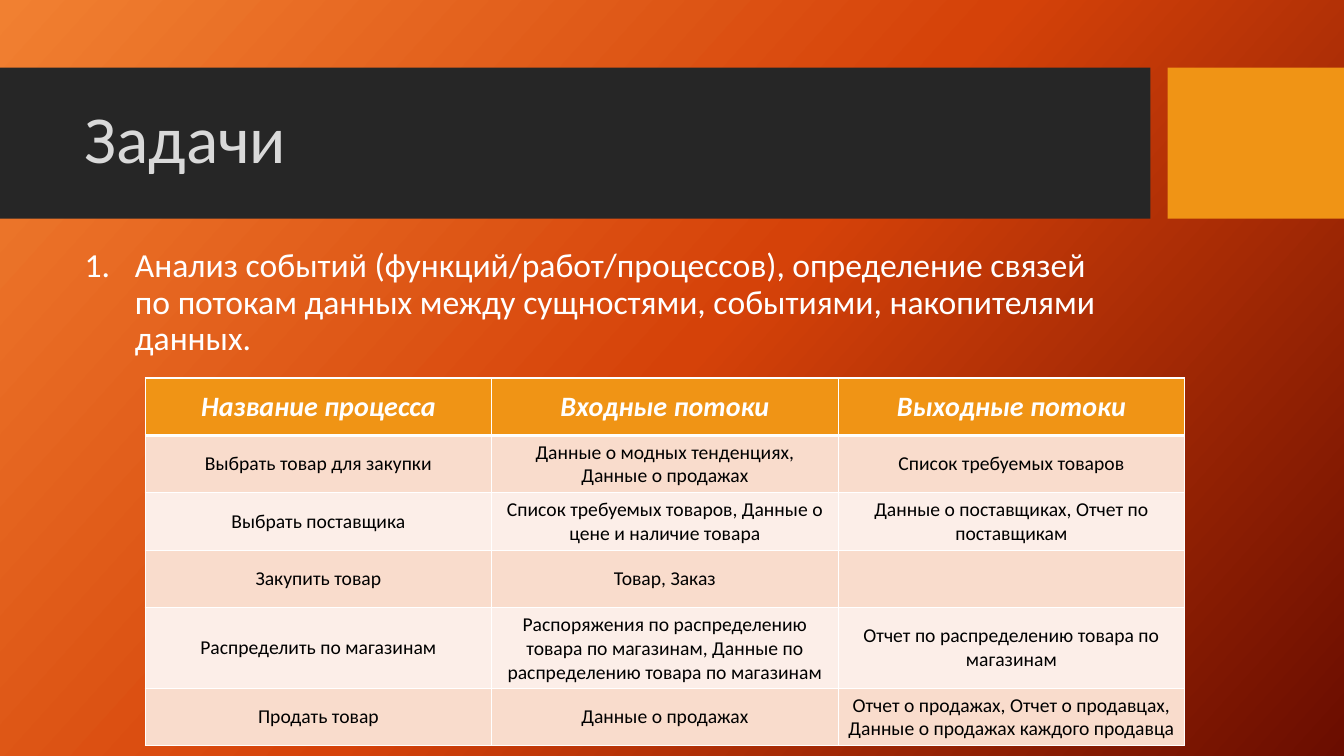
from copy import deepcopy

from lxml import etree
from pptx import Presentation
from pptx.dml.color import RGBColor
from pptx.enum import shapes, text
from pptx.oxml import ns
from pptx.util import Inches, Pt

FONT = "Calibri"
WHITE = RGBColor(0xFF, 0xFF, 0xFF)
BLACK = RGBColor(0x00, 0x00, 0x00)
CHARCOAL = RGBColor(0x26, 0x26, 0x26)
LIGHT_GRAY = RGBColor(0xD9, 0xD9, 0xD9)
AMBER = RGBColor(0xF0, 0x94, 0x15)
BANDS = [RGBColor(0xF9, 0xDC, 0xCC), RGBColor(0xFC, 0xEE, 0xE8)]
GRADIENT = [
    (0, RGBColor(0xF1, 0x80, 0x31)),
    (0.5, RGBColor(0xD5, 0x42, 0x09)),
    (1, RGBColor(0x6A, 0x0D, 0x00)),
]

TITLE = "Задачи"
TASK = ("Анализ событий (функций/работ/процессов), определение связей по потокам "
        "данных между сущностями, событиями, накопителями данных.")
FLOWS = [
    ("Название процесса", "Входные потоки", "Выходные потоки"),
    ("Выбрать товар для закупки", "Данные о модных тенденциях, Данные о продажах",
     "Список требуемых товаров"),
    ("Выбрать поставщика", "Список требуемых товаров, Данные о цене и наличие товара",
     "Данные о поставщиках, Отчет по поставщикам"),
    ("Закупить товар", "Товар, Заказ", ""),
    ("Распределить по магазинам",
     "Распоряжения по распределению товара по магазинам, "
     "Данные по распределению товара по магазинам",
     "Отчет по распределению товара по магазинам"),
    ("Продать товар", "Данные о продажах",
     "Отчет о продажах, Отчет о продавцах, Данные о продажах каждого продавца"),
]


def paint_background(slide):
    fill = slide.background.fill
    fill.gradient()
    fill.gradient_angle = 360 - 42  # counter-clockwise
    stops = slide.element.find(".//" + ns.qn("a:gsLst"))
    stops.append(deepcopy(stops[-1]))
    for stop, (position, color) in zip(fill.gradient_stops, GRADIENT):
        stop.position = position
        stop.color.rgb = color


def add_run(p, content, size, color, bold=False, italic=False):
    r = p.add_run()
    r.text = content
    r.font.name = FONT
    r.font.size = Pt(size)
    r.font.color.rgb = color
    r.font.bold = bold
    r.font.italic = italic


def add_block(slide, left, top, width, height, color):
    sp = slide.shapes.add_shape(shapes.MSO_SHAPE.RECTANGLE, Inches(left), Inches(top),
                                Inches(width), Inches(height))
    sp.shadow.inherit = False
    sp.fill.solid()
    sp.fill.fore_color.rgb = color
    sp.line.fill.background()


def add_text_box(slide, left, top, width, height, anchor):
    """Add a wrapping text box and return its first paragraph."""
    sp = slide.shapes.add_textbox(Inches(left), Inches(top), Inches(width), Inches(height))
    tf = sp.text_frame
    tf.word_wrap = True
    tf.vertical_anchor = anchor
    p = tf.paragraphs[0]
    p.line_spacing = 0.9
    return p


def add_title_band(slide, top, height):
    add_block(slide, 0, top, 11.41, height, CHARCOAL)
    add_block(slide, 11.58, top, 1.75, height, AMBER)
    p = add_text_box(slide, 0.74, top + 0.15, 10.51, 1.18, text.MSO_ANCHOR.MIDDLE)
    add_run(p, TITLE, 48, LIGHT_GRAY)


def add_numbered_task(slide, left, top, width, height):
    p = add_text_box(slide, left, top, width, height, text.MSO_ANCHOR.TOP)
    p.space_before = Pt(10)
    add_run(p, TASK, 24, WHITE)
    pPr = p._p.get_or_add_pPr()
    pPr.set("marL", str(Inches(0.5)))
    pPr.set("indent", str(-Inches(0.5)))
    etree.SubElement(pPr, ns.qn("a:buFont"), typeface="+mj-lt")
    etree.SubElement(pPr, ns.qn("a:buAutoNum"), type="arabicPeriod")


def set_borders(cell, top, bottom):
    """Draw white cell edges; top and bottom are widths in points."""
    tcPr = cell._tc.get_or_add_tcPr()
    for side, width in (("L", 1), ("R", 1), ("T", top), ("B", bottom)):
        ln = etree.SubElement(tcPr, ns.qn(f"a:ln{side}"), w=str(Pt(width)))
        solid = etree.SubElement(ln, ns.qn("a:solidFill"))
        etree.SubElement(solid, ns.qn("a:srgbClr"), val=str(WHITE))


def add_flow_table(slide, left, top, width, row_height):
    n_rows, n_cols = len(FLOWS), len(FLOWS[0])
    table = slide.shapes.add_table(n_rows, n_cols, Inches(left), Inches(top), Inches(width),
                                   Inches(row_height * n_rows)).table
    table.first_row = table.horz_banding = False
    for i, row in enumerate(FLOWS):
        header = i == 0
        for j, content in enumerate(row):
            cell = table.cell(i, j)
            set_borders(cell, 3 if i == 1 else 1, 3 if header else 1)
            cell.fill.solid()
            cell.fill.fore_color.rgb = AMBER if header else BANDS[(i - 1) % 2]
            cell.vertical_anchor = text.MSO_ANCHOR.MIDDLE
            p = cell.text_frame.paragraphs[0]
            p.alignment = text.PP_ALIGN.CENTER
            if header:
                add_run(p, content, 20, WHITE, bold=True, italic=True)
            elif content:
                add_run(p, content, 14, BLACK)


def main():
    prs = Presentation()
    prs.slide_width, prs.slide_height = Inches(13.33), Inches(7.5)
    slide = prs.slides.add_slide(prs.slide_layouts[6])
    paint_background(slide)
    add_title_band(slide, 0.67, 1.5)
    add_numbered_task(slide, 0.74, 2.42, 10.51, 3.94)
    add_flow_table(slide, 1.44, 3.75, 10.31, 0.57)
    prs.save("out.pptx")


if __name__ == "__main__":
    main()
